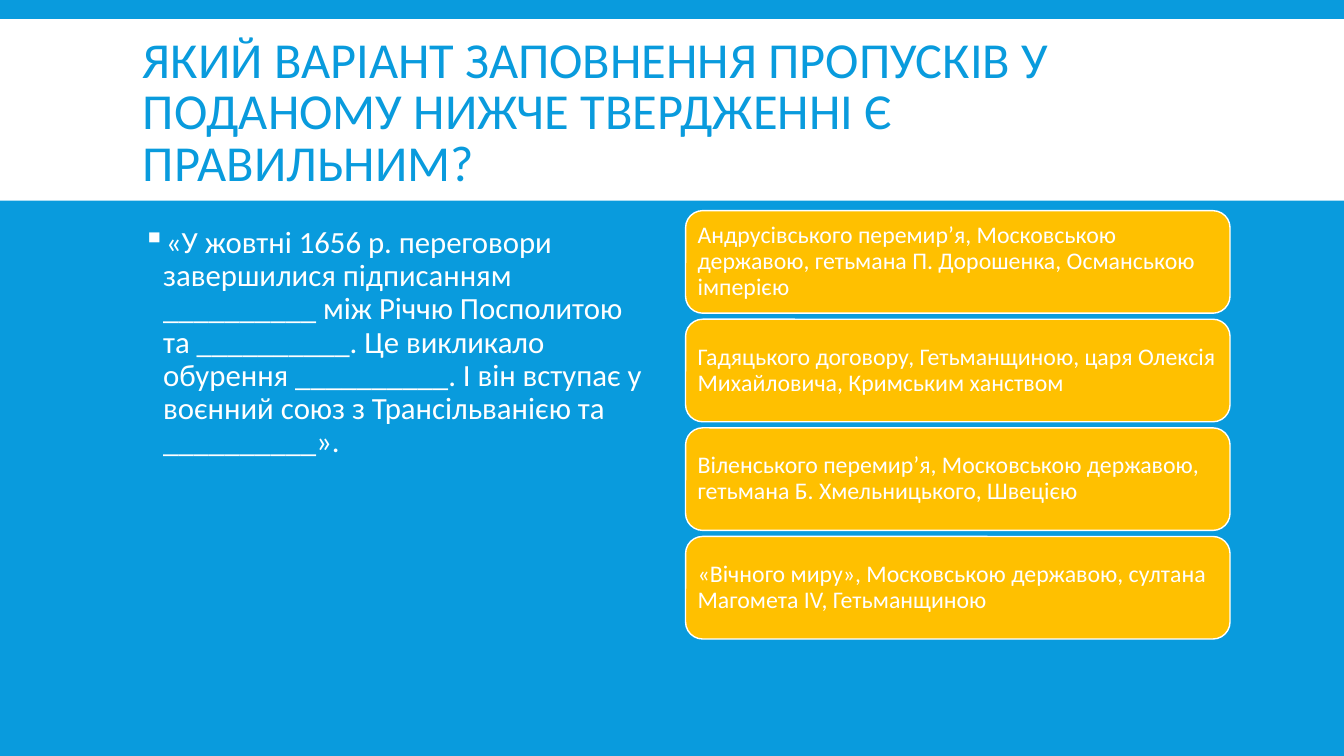
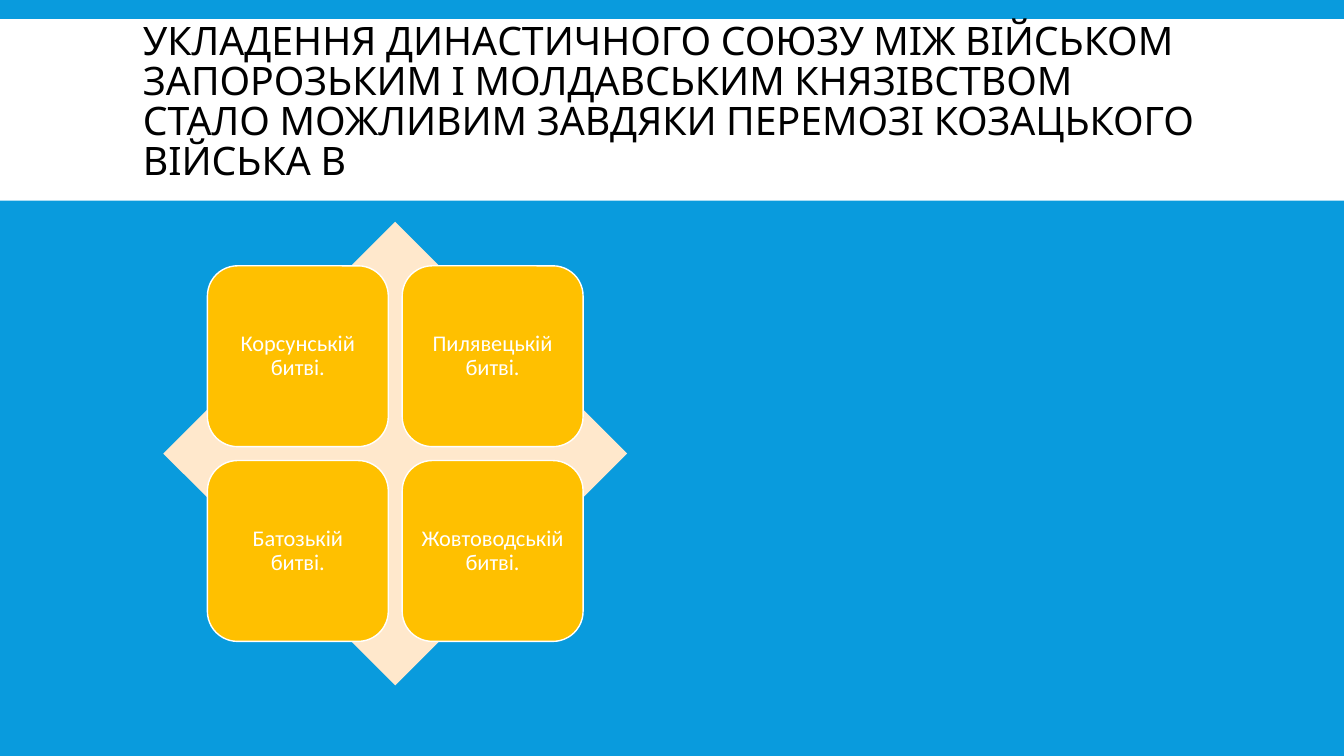
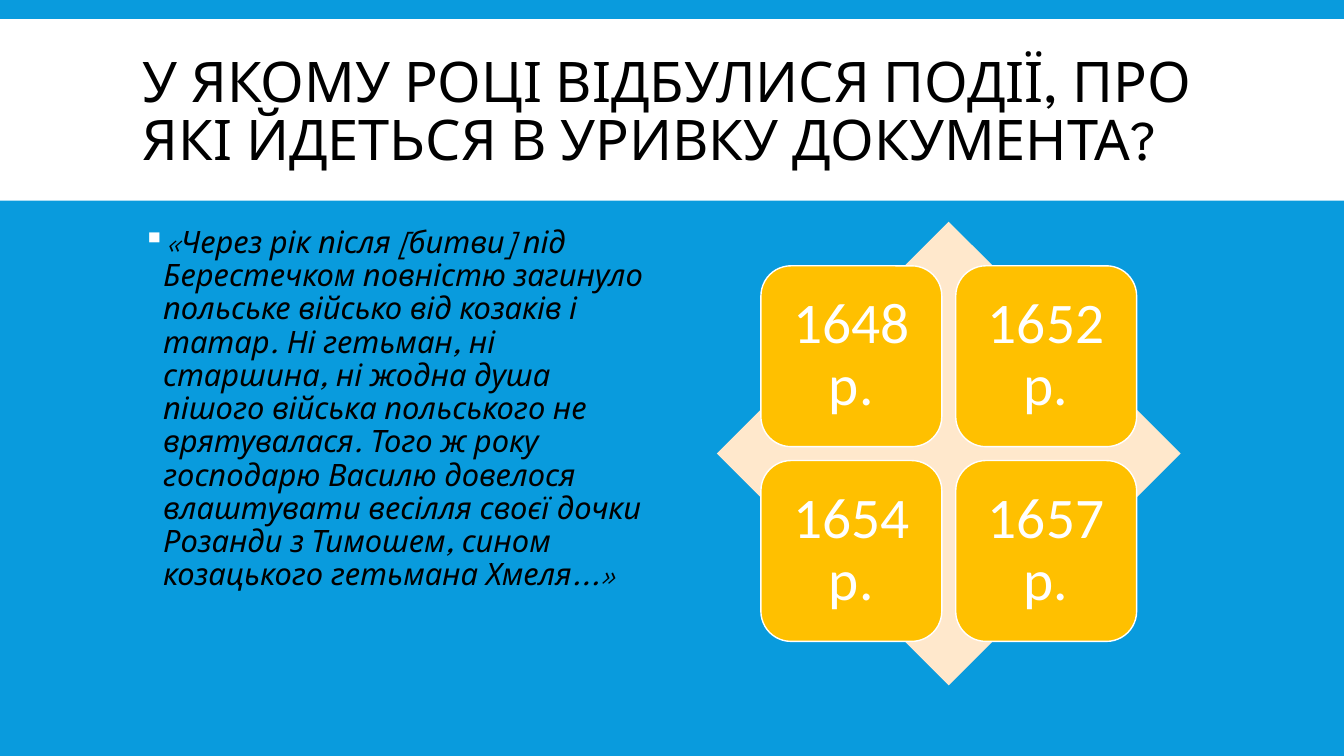
from lxml.etree import SubElement
from pptx import Presentation
from pptx.dml.color import RGBColor
from pptx.enum.shapes import MSO_SHAPE
from pptx.enum.text import MSO_ANCHOR, PP_ALIGN
from pptx.oxml.ns import qn
from pptx.util import Inches, Pt

BLUE, WHITE, BLACK, AMBER, CREAM = "099BDD", "FFFFFF", "000000", "FFC000", "FFE8CC"
SANS, DISPLAY = "Calibri", "League Spartan"
WIDTH, HEIGHT = 13.33, 7.5
COLUMNS = (1.32, 6.81)
COLUMN_W, BODY_TOP, BODY_H = 5.2, 2.2, 4.6

SLIDES = [
    {
        "title": "ЯКИЙ ВАРІАНТ ЗАПОВНЕННЯ ПРОПУСКІВ У ПОДАНОМУ НИЖЧЕ ТВЕРДЖЕННІ Є ПРАВИЛЬНИМ?",
        "title_style": (36, SANS, BLUE),
        "body": "«У жовтні 1656 р. переговори завершилися підписанням __________ між Річчю Посполитою та __________. Це викликало обурення __________. І він вступає у воєнний союз з Трансільванією та __________».",
        "body_style": (22, SANS, WHITE),
        "bars": [
            "Андрусівського перемир’я, Московською державою, гетьмана П. Дорошенка, Османською імперією",
            "Гадяцького договору, Гетьманщиною, царя Олексія Михайловича, Кримським ханством",
            "Віленського перемир’я, Московською державою, гетьмана Б. Хмельницького, Швецією",
            "«Вічного миру», Московською державою, султана Магомета IV, Гетьманщиною",
        ],
    },
    {
        "title": "УКЛАДЕННЯ ДИНАСТИЧНОГО СОЮЗУ МІЖ ВІЙСЬКОМ ЗАПОРОЗЬКИМ І МОЛДАВСЬКИМ КНЯЗІВСТВОМ СТАЛО МОЖЛИВИМ ЗАВДЯКИ ПЕРЕМОЗІ КОЗАЦЬКОГО ВІЙСЬКА В",
        "title_style": (28, DISPLAY, BLACK),
        "title_top": 0.4,
        "title_bottom_inset": 0.45,
        "tiles": ["Корсунській битві.", "Пилявецькій битві.", "Батозькій битві.", "Жовтоводській битві."],
        "tile_column": 0,
        "tile_size": 16,
        "tile_inset": 0.07,
    },
    {
        "title": "У ЯКОМУ РОЦІ ВІДБУЛИСЯ ПОДІЇ, ПРО ЯКІ ЙДЕТЬСЯ В УРИВКУ ДОКУМЕНТА?",
        "title_style": (40, DISPLAY, BLACK),
        "body": "«Через рік після [битви] під Берестечком повністю загинуло польське військо від козаків і татар. Ні гетьман, ні старшина, ні жодна душа пішого війська польського не врятувалася. Того ж року господарю Василю довелося влаштувати весілля своєї дочки Розанди з Тимошем, сином козацького гетьмана Хмеля...»",
        "body_style": (22, DISPLAY, BLACK, True),
        "tiles": ["1648 р.", "1652 р.", "1654 р.", "1657 р."],
        "tile_column": 1,
        "tile_size": 41,
        "tile_inset": 0.17,
    },
]


def rgb(value):
    return RGBColor.from_string(value)


def write(sp, text, style, spacing, anchor=MSO_ANCHOR.MIDDLE, align=PP_ALIGN.LEFT, inset=None):
    size, face, color, *italic = style
    tf = sp.text_frame
    tf.word_wrap = True
    tf.vertical_anchor = anchor
    if inset is not None:
        tf.margin_left = tf.margin_right = tf.margin_top = tf.margin_bottom = Inches(inset)
    tf.text = text
    p = tf.paragraphs[0]
    p.alignment = align
    p.line_spacing = spacing
    font = p.runs[0].font
    font.size, font.name, font.color.rgb = Pt(size), face, rgb(color)
    font.italic = bool(italic)
    return p


def add_block(slide, preset, box, fill, outline=None):
    sp = slide.shapes.add_shape(preset, *map(Inches, box))
    sp.shadow.inherit = False
    sp.fill.solid()
    sp.fill.fore_color.rgb = rgb(fill)
    if outline:
        sp.line.color.rgb = rgb(outline)
        sp.line.width = Pt(1)
    else:
        sp.line.fill.background()
    return sp


def add_answer(slide, box, text, size, inset, align):
    sp = add_block(slide, MSO_SHAPE.ROUNDED_RECTANGLE, box, AMBER, WHITE)
    write(sp, text, (size, SANS, WHITE), 0.9, align=align, inset=inset)


def add_title(slide, data):
    add_block(slide, MSO_SHAPE.RECTANGLE, (0, 0.19, WIDTH, 1.8), WHITE)
    box = (COLUMNS[0], data.get("title_top", 0.31), 10.7, 1.65)
    sp = slide.shapes.add_textbox(*map(Inches, box))
    write(sp, data["title"], data["title_style"], 0.85)
    sp.text_frame.margin_bottom = Inches(data.get("title_bottom_inset", 0.05))


def add_body(slide, text, style):
    sp = slide.shapes.add_textbox(*map(Inches, (COLUMNS[0], BODY_TOP, COLUMN_W, BODY_H)))
    p = write(sp, text, style, 0.9, MSO_ANCHOR.TOP)
    pPr = p._p.get_or_add_pPr()
    pPr.set("marL", str(Inches(0.2)))
    pPr.set("indent", str(-Inches(0.2)))
    SubElement(SubElement(pPr, qn("a:buClr")), qn("a:srgbClr")).set("val", WHITE)
    SubElement(pPr, qn("a:buChar")).set("char", "▪")


def add_bars(slide, texts):
    left, top, width, height, gap = 6.8, 2.09, 5.4, 4.25, 0.06
    bar_h = (height - gap * (len(texts) - 1)) / len(texts)
    for i, text in enumerate(texts):
        add_answer(slide, (left, top + i * (bar_h + gap), width, bar_h), text, 17, 0.07, PP_ALIGN.LEFT)


def add_tiles(slide, texts, column, size, inset):
    side = BODY_H
    left = COLUMNS[column] + (COLUMN_W - side) / 2
    add_block(slide, MSO_SHAPE.DIAMOND, (left, BODY_TOP, side, side), CREAM)
    offset, pitch, tile = 0.095 * side, 0.42 * side, 0.39 * side
    for i, text in enumerate(texts):
        row, col = divmod(i, 2)
        box = (left + offset + col * pitch, BODY_TOP + offset + row * pitch, tile, tile)
        add_answer(slide, box, text, size, inset, PP_ALIGN.CENTER)


def main():
    prs = Presentation()
    prs.slide_width, prs.slide_height = Inches(WIDTH), Inches(HEIGHT)
    background = prs.slide_master.background.fill
    background.solid()
    background.fore_color.rgb = rgb(BLUE)
    for data in SLIDES:
        slide = prs.slides.add_slide(prs.slide_layouts[6])
        add_title(slide, data)
        if "body" in data:
            add_body(slide, data["body"], data["body_style"])
        if "bars" in data:
            add_bars(slide, data["bars"])
        if "tiles" in data:
            add_tiles(slide, data["tiles"], data["tile_column"], data["tile_size"], data["tile_inset"])
    prs.save("out.pptx")


if __name__ == "__main__":
    main()
